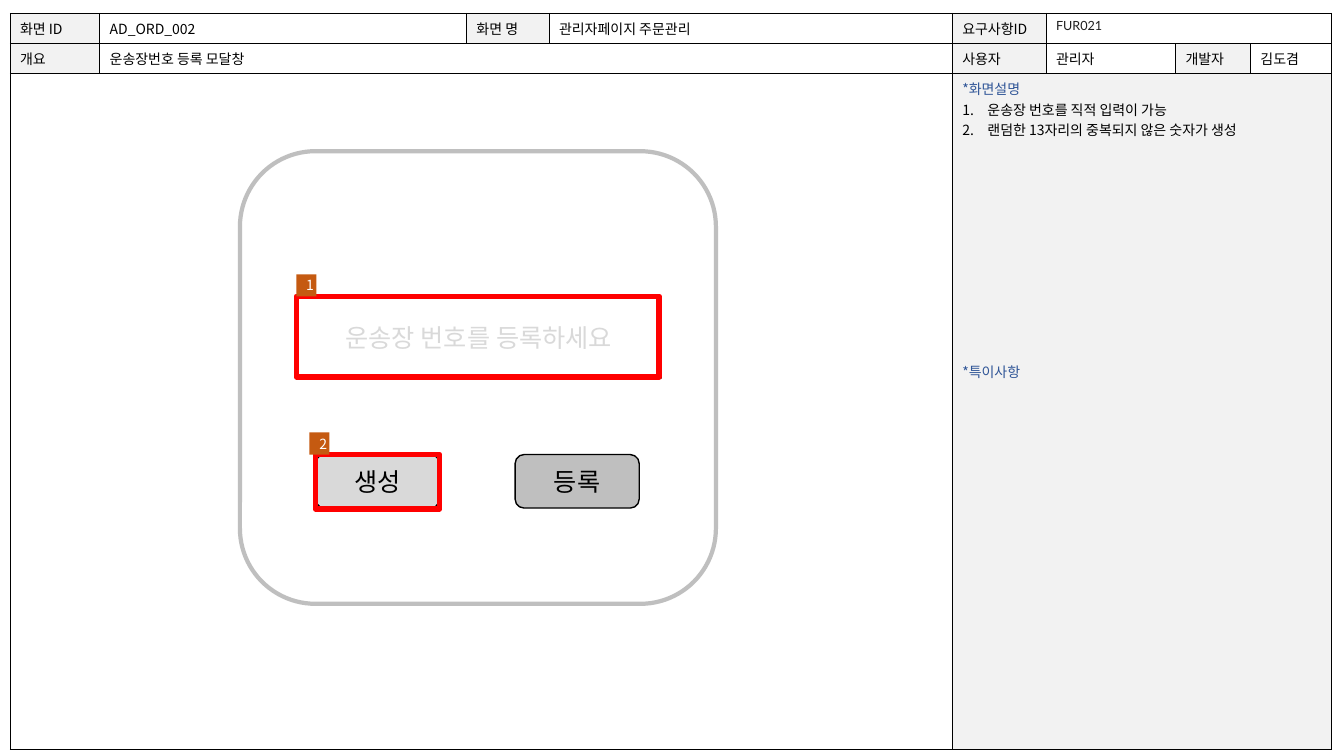
from dataclasses import dataclass

from lxml.etree import SubElement
from pptx import Presentation
from pptx.dml.color import RGBColor
from pptx.enum.shapes import MSO_SHAPE as Preset
from pptx.enum.text import MSO_ANCHOR as Anchor, PP_ALIGN as Align
from pptx.oxml.ns import qn
from pptx.util import Pt


@dataclass(frozen=True)
class Theme:
    font: str = "Noto Sans CJK KR"
    code_font: str = "Lato"
    body: float = 10
    code: float = 9
    control: float = 18
    black: str = "000000"
    code_ink: str = "1F1F1F"
    white: str = "FFFFFF"
    panel: str = "F2F2F2"
    light: str = "D9D9D9"
    gray: str = "BFBFBF"
    heading: str = "2F5597"
    frame: str = "FF0000"
    badge: str = "C55A11"


theme = Theme()


def add_span(para, text, size=theme.body, color=theme.black, font=theme.font):
    span = para.add_run()
    span.text = text
    span.font.size = Pt(size)
    span.font.color.rgb = RGBColor.from_string(color)
    span.font.name = font
    SubElement(span.font._element, qn("a:ea"), typeface=font)


def add_box(preset, place, fill=None, line=None, width=1, text="",
            size=theme.control, color=theme.black):
    box = page.shapes.add_shape(preset, *map(Pt, place))
    box.shadow.inherit = False
    if fill:
        box.fill.solid()
        box.fill.fore_color.rgb = RGBColor.from_string(fill)
    else:
        box.fill.background()
    if line:
        box.line.color.rgb = RGBColor.from_string(line)
        box.line.width = Pt(width)
    else:
        box.line.fill.background()
    if text:
        box.text_frame.word_wrap = True
        box.text_frame.vertical_anchor = Anchor.MIDDLE
        para = box.text_frame.paragraphs[0]
        para.alignment = Align.CENTER
        add_span(para, text, size, color)


deck = Presentation()
deck.slide_width, deck.slide_height = Pt(960), Pt(540)
page = deck.slides.add_slide(deck.slide_layouts[6])

# Specification table: grid
columns = [64, 262, 59, 288, 67, 92.5, 53.5, 58]
rows = [21.4, 21.4, 482.4]
table = page.shapes.add_table(len(rows), len(columns), Pt(7.2), Pt(9.4),
                              Pt(sum(columns)), Pt(sum(rows))).table
table.first_row = table.horz_banding = False
for column, width in zip(table.columns, columns):
    column.width = Pt(width)
for row, height in zip(table.rows, rows):
    row.height = Pt(height)

# Cell borders and fills; the label columns and the description are shaded
shaded = {(0, 0), (0, 2), (0, 4), (1, 0), (1, 4), (1, 6), (2, 4)}
thick = {(2, 3, "R"), (2, 4, "L"), (2, 4, "B")}
for r in range(len(rows)):
    for c in range(len(columns)):
        cell = table.cell(r, c)
        props = cell._tc.get_or_add_tcPr()
        for side in "LRTB":
            width = 1 if (r, c, side) in thick else 0.5
            border = SubElement(props, qn(f"a:ln{side}"), w=str(Pt(width)))
            paint = SubElement(border, qn("a:solidFill"))
            SubElement(paint, qn("a:srgbClr"), val=theme.black)
        cell.fill.solid()
        cell.fill.fore_color.rgb = RGBColor.from_string(
            theme.panel if (r, c) in shaded else theme.white)

for r, first, last in [(0, 5, 7), (1, 1, 3), (2, 0, 3), (2, 4, 7)]:
    table.cell(r, first).merge(table.cell(r, last))

# Header wording
headers = {
    (0, 0): "화면 ID", (0, 1): "AD_ORD_002",
    (0, 2): "화면 명", (0, 3): "관리자페이지 주문관리",
    (0, 4): "요구사항ID",
    (1, 0): "개요", (1, 1): "운송장번호 등록 모달창",
    (1, 4): "사용자", (1, 5): "관리자",
    (1, 6): "개발자", (1, 7): "김도겸",
}
for (r, c), text in headers.items():
    add_span(table.cell(r, c).text_frame.paragraphs[0], text)
add_span(table.cell(0, 5).text_frame.paragraphs[0], "FUR021",
         theme.code, theme.code_ink, theme.code_font)

# Screen description
notes = table.cell(2, 4).text_frame
add_span(notes.paragraphs[0], "*화면설명", color=theme.heading)
for text in ["운송장 번호를 직적 입력이 가능",
             "랜덤한 13자리의 중복되지 않은 숫자가 생성"]:
    para = notes.add_paragraph()
    add_span(para, text)
    props = para._p.get_or_add_pPr()
    props.set("marL", str(Pt(18)))
    props.set("indent", str(-Pt(18)))
    SubElement(props, qn("a:buAutoNum"), type="arabicPeriod")
para = notes.add_paragraph()
para.space_before = Pt(158.4)
add_span(para, "*특이사항", color=theme.heading)

# Modal window with its input field and buttons
add_box(Preset.ROUNDED_RECTANGLE, (171.4, 108, 340, 323.3),
        theme.white, theme.gray, 3)
add_box(Preset.RECTANGLE, (211.7, 211.7, 260.6, 58.3), theme.white,
        theme.black, text="운송장 번호를 등록하세요", color=theme.light)
for left, fill, text in [(225.4, theme.light, "생성"),
                         (368, theme.gray, "등록")]:
    add_box(Preset.ROUNDED_RECTANGLE, (left, 324.7, 88.6, 38.2),
            fill, theme.black, text=text)

# Red frames with numbered badges standing on their top edge
callouts = [("2", (225.4, 324.7, 88.6, 38.9), 221),
            ("1", (211.7, 211.7, 259.2, 57.6), 211.7)]
for number, place, badge_left in callouts:
    add_box(Preset.RECTANGLE, place, line=theme.frame, width=4)
    add_box(Preset.RECTANGLE, (badge_left, place[1] - 15.8, 14.4, 15.8),
            theme.badge, text=number, size=theme.body, color=theme.white)

deck.save("out.pptx")
